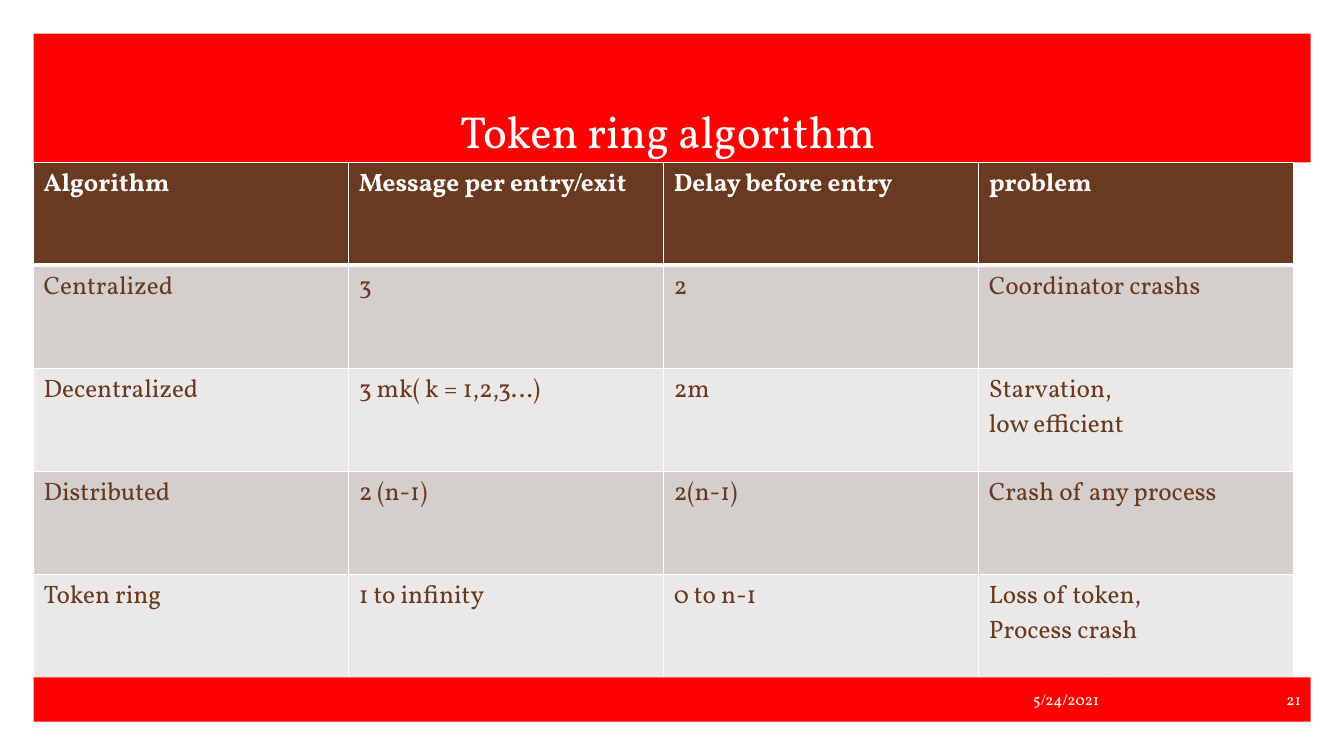
from lxml.etree import SubElement
from pptx import Presentation
from pptx.dml.color import RGBColor
from pptx.enum.shapes import MSO_SHAPE as Shape
from pptx.enum.text import MSO_ANCHOR as Anchor, PP_ALIGN as Align
from pptx.oxml.ns import qn
from pptx.util import Inches, Pt

FONT = "Vollkorn"
RED, WHITE, BROWN = "FF0000", "FFFFFF", "6A3A20"
BANDS = ("D4CECD", "EBE8E8")

ROWS = [
    ["Algorithm", "Message per entry/exit", "Delay before entry", "problem"],
    ["Centralized", "3", "2", "Coordinator crashs"],
    ["Decentralized", "3 mk( k = 1,2,3…)", "2m", "Starvation,\nlow efficient"],
    ["Distributed", "2 (n-1)", "2(n-1)", "Crash of any process"],
    ["Token ring", "1 to infinity", "0 to n-1", "Loss of token,\nProcess crash"],
]


def rgb(color):
    return RGBColor.from_string(color)


class Deck:
    """Slide on a grid of 40 columns by 22.5 rows, each a third of an inch."""

    def __init__(self):
        self.prs = Presentation()
        self.prs.slide_width, self.prs.slide_height = Inches(13.33), Inches(7.5)
        self.s = self.prs.slides.add_slide(self.prs.slide_layouts[6])

    def grid(self, *units):
        return [Inches(u / 3) for u in units]

    def text(self, tf, text, size, color, align=Align.LEFT, bold=False):
        for i, line in enumerate(text.split("\n")):
            p = tf.add_paragraph() if i else tf.paragraphs[0]
            p.alignment = align
            r = p.add_run()
            r.text = line
            r.font.name, r.font.size, r.font.bold = FONT, Pt(size), bold
            r.font.color.rgb = rgb(color)

    def bar(self, x, y, w, h, text, size, align, anchor=Anchor.MIDDLE):
        sp = self.s.shapes.add_shape(Shape.RECTANGLE, *self.grid(x, y, w, h))
        sp.shadow.inherit = False
        sp.fill.solid()
        sp.fill.fore_color.rgb = rgb(RED)
        sp.line.fill.background()
        sp.text_frame.word_wrap = True
        sp.text_frame.vertical_anchor = anchor
        self.text(sp.text_frame, text, size, WHITE, align)

    def borders(self, cell, top, bottom):
        tc_pr = cell._tc.get_or_add_tcPr()
        for side, width in zip("LRTB", (1, 1, top, bottom)):
            ln = SubElement(tc_pr, qn(f"a:ln{side}"), w=str(Pt(width)))
            fill = SubElement(ln, qn("a:solidFill"))
            SubElement(fill, qn("a:srgbClr"), val=WHITE)

    def table(self, x, y, w, h, rows):
        frame = self.s.shapes.add_table(len(rows), len(rows[0]), *self.grid(x, y, w, h))
        for i, row in enumerate(rows):
            head = i == 0
            for j, text in enumerate(row):
                cell = frame.table.cell(i, j)
                # The rule under the header is heavier than the others
                self.borders(cell, 3 if i == 1 else 1, 3 if head else 1)
                cell.fill.solid()
                cell.fill.fore_color.rgb = rgb(BROWN if head else BANDS[(i - 1) % 2])
                self.text(cell.text_frame, text, 18, WHITE if head else BROWN, bold=head)


def main():
    deck = Deck()
    # Title band
    deck.bar(1, 1, 38, 3.83, "Token ring algorithm ", 32, Align.CENTER, Anchor.BOTTOM)
    # Comparison of the algorithms
    deck.table(1, 4.83, 37.5, 15.33, ROWS)
    # Footer: date and slide number
    deck.bar(1, 20.16, 32, 1.32, "5/24/2021", 11, Align.RIGHT)
    deck.bar(33, 20.16, 6, 1.32, "21", 11, Align.RIGHT)
    deck.prs.save("out.pptx")


if __name__ == "__main__":
    main()
